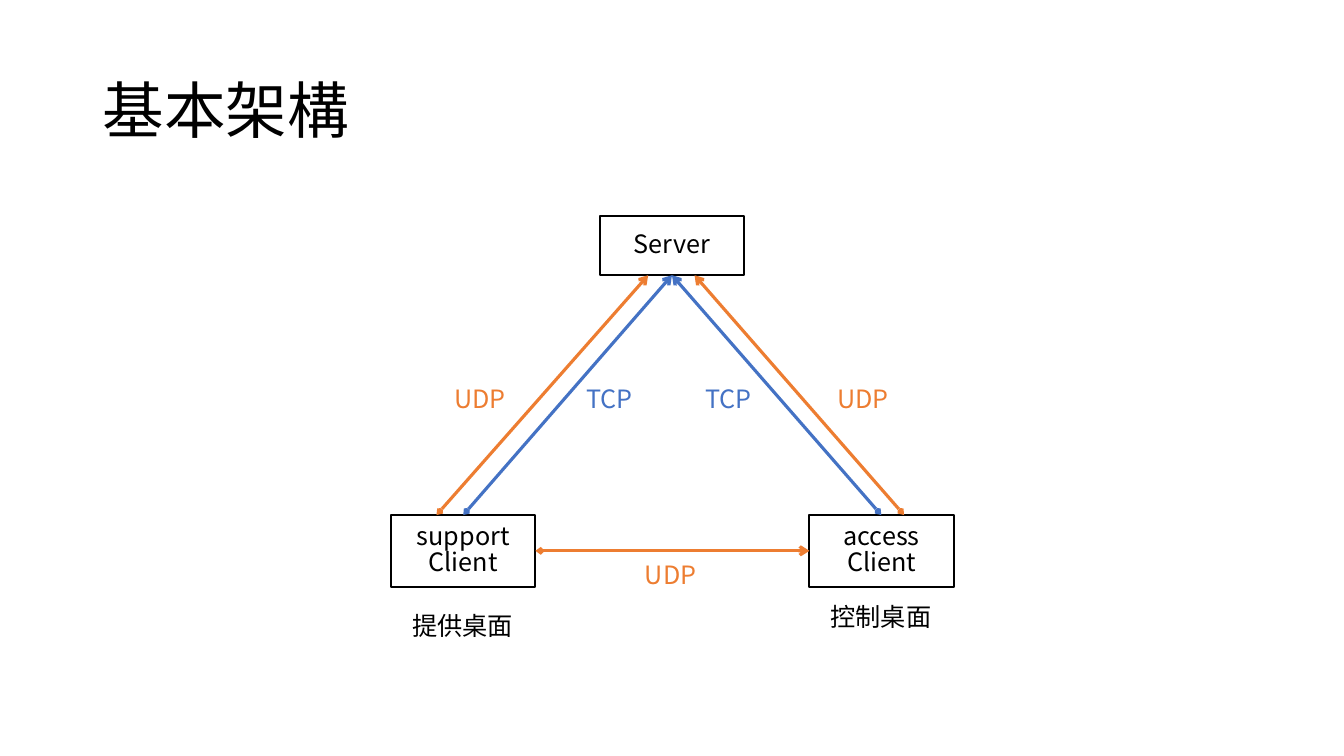
"""Build the basic architecture slide: one server, two clients and their links."""
from dataclasses import dataclass

from lxml import etree
from pptx import Presentation
from pptx.dml.color import RGBColor
from pptx.enum.shapes import MSO_CONNECTOR, MSO_SHAPE
from pptx.enum.text import MSO_ANCHOR, MSO_AUTO_SIZE, PP_ALIGN
from pptx.oxml.ns import qn
from pptx.util import Pt

RECTANGLE = MSO_SHAPE.RECTANGLE
STRAIGHT = MSO_CONNECTOR.STRAIGHT
MIDDLE = MSO_ANCHOR.MIDDLE
FIT_SHAPE = MSO_AUTO_SIZE.SHAPE_TO_FIT_TEXT
LEFT, CENTER = PP_ALIGN.LEFT, PP_ALIGN.CENTER


@dataclass(frozen=True)
class Theme:
    """Fonts, colours and sizes used on the slide."""

    font: str = "Noto Sans CJK JP"
    black: RGBColor = RGBColor(0x00, 0x00, 0x00)
    tcp: RGBColor = RGBColor(0x44, 0x72, 0xC4)
    udp: RGBColor = RGBColor(0xED, 0x7D, 0x31)
    title_size: int = 44
    body_size: int = 18
    title_spacing: float = 0.9
    body_spacing: float = 0.85
    outline: float = 1.5
    link: float = 2.25


THEME = Theme()
NODE_WIDTH = 103
SERVER_BOTTOM = 196.6
CLIENT_TOP, CLIENT_HEIGHT = 367.9, 51.1
SUPPORT_LEFT, ACCESS_LEFT = 279.4, 578.2
LINK_LABEL_TOP = 273.6


def write(frame, text, size, color, spacing, align):
    """Fill a text frame, one paragraph per line of text."""
    frame.text = text
    for para in frame.paragraphs:
        para.alignment = align
        para.line_spacing = spacing
        font = para.font
        font.size = Pt(size)
        font.name = THEME.font
        font.color.rgb = color
        etree.SubElement(font._rPr, qn("a:ea"), typeface=THEME.font)


def add_title(page, text):
    """Place and format the title placeholder."""
    title = page.shapes.title
    title.left, title.top, title.width, title.height = Pt(66), Pt(28.8), Pt(828), Pt(104.4)
    title.text_frame.vertical_anchor = MIDDLE
    write(title.text_frame, text, THEME.title_size, THEME.black, THEME.title_spacing, LEFT)


def add_node(page, text, left, top, height):
    """Draw an outlined box with centred text."""
    box = page.shapes.add_shape(RECTANGLE, Pt(left), Pt(top), Pt(NODE_WIDTH), Pt(height))
    box.shadow.inherit = False
    box.fill.background()
    box.line.color.rgb = THEME.black
    box.line.width = Pt(THEME.outline)
    box.text_frame.vertical_anchor = MIDDLE
    write(box.text_frame, text, THEME.body_size, THEME.black, THEME.body_spacing, CENTER)


def add_label(page, text, left, top, width, color):
    """Add a one-line label that does not wrap."""
    box = page.shapes.add_textbox(Pt(left), Pt(top), Pt(width), Pt(29))
    box.text_frame.word_wrap = False
    box.text_frame.auto_size = FIT_SHAPE
    write(box.text_frame, text, THEME.body_size, color, THEME.body_spacing, LEFT)


def add_link(page, start, end, color):
    """Draw a two-way arrow with a small head at its start."""
    points = [Pt(value) for value in (*start, *end)]
    link = page.shapes.add_connector(STRAIGHT, *points)
    link.line.color.rgb = color
    link.line.width = Pt(THEME.link)
    outline = link.line._get_or_add_ln()
    for tag, size in (("a:headEnd", "sm"), ("a:tailEnd", "med")):
        etree.SubElement(outline, qn(tag), type="arrow", w=size, len=size)
    etree.SubElement(link._element.spPr, qn("a:effectLst"))


def main():
    """Build and save the slide."""
    deck = Presentation()
    deck.slide_width, deck.slide_height = Pt(960), Pt(540)
    page = deck.slides.add_slide(deck.slide_layouts[5])
    add_title(page, "基本架構")

    add_node(page, "Server", 428.4, 154.1, 42.5)
    for text, left in (("support\nClient", SUPPORT_LEFT), ("access\nClient", ACCESS_LEFT)):
        add_node(page, text, left, CLIENT_TOP, CLIENT_HEIGHT)
    add_label(page, "提供桌面", 287.3, 435.6, 87, THEME.black)
    add_label(page, "控制桌面", 586.1, 429.1, 87, THEME.black)

    for client_x, server_x, color in (
        (330.9, 480, THEME.tcp),
        (629.5, 480, THEME.tcp),
        (311.8, 463, THEME.udp),
        (645.8, 496.1, THEME.udp),
    ):
        add_link(page, (client_x, CLIENT_TOP), (server_x, SERVER_BOTTOM), color)
    middle = CLIENT_TOP + CLIENT_HEIGHT / 2
    add_link(page, (SUPPORT_LEFT + NODE_WIDTH, middle), (ACCESS_LEFT, middle), THEME.udp)

    for left in (411.8, 496.8):
        add_label(page, "TCP", left, LINK_LABEL_TOP, 49.7, THEME.tcp)
    for left, top in ((317.5, LINK_LABEL_TOP), (591.1, LINK_LABEL_TOP), (453.6, 399.6)):
        add_label(page, "UDP", left, top, 53.3, THEME.udp)

    deck.save("out.pptx")


if __name__ == "__main__":
    main()
